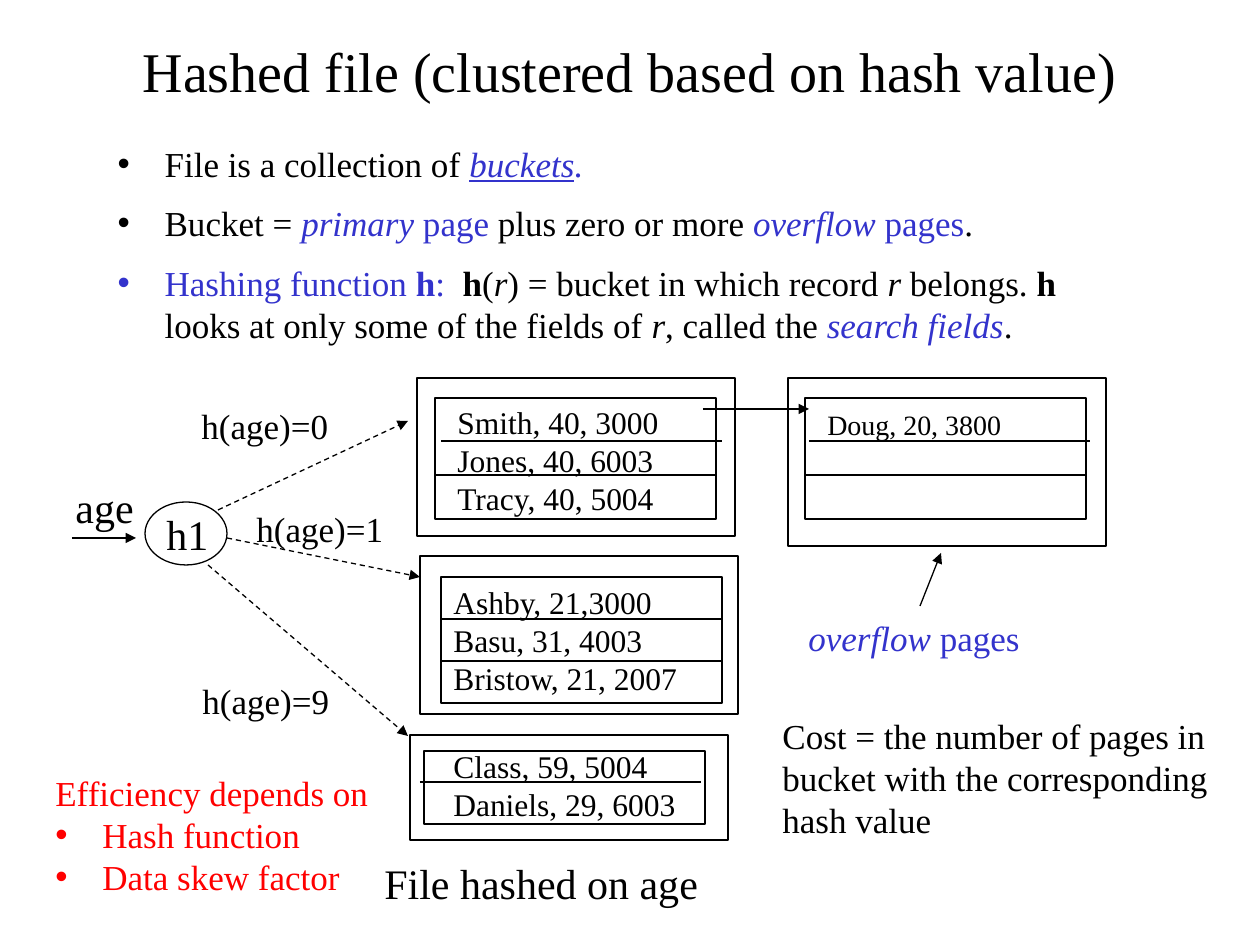
from dataclasses import dataclass

from lxml import etree
from pptx import Presentation
from pptx.dml.color import RGBColor
from pptx.enum.dml import MSO_LINE
from pptx.enum.shapes import MSO_CONNECTOR, MSO_SHAPE
from pptx.enum.text import MSO_ANCHOR, MSO_AUTO_SIZE, PP_ALIGN
from pptx.oxml.ns import qn
from pptx.util import Inches, Pt

RECTANGLE, OVAL = MSO_SHAPE.RECTANGLE, MSO_SHAPE.OVAL
STRAIGHT, DASH = MSO_CONNECTOR.STRAIGHT, MSO_LINE.DASH
LEFT, TOP, NO_FIT = PP_ALIGN.LEFT, MSO_ANCHOR.TOP, MSO_AUTO_SIZE.NONE


@dataclass(frozen=True)
class Theme:
    font: str = "Times New Roman"
    ink: str = "000000"
    accent: str = "3333CC"
    warning: str = "FF0000"
    title: int = 32
    heading: int = 24
    body: int = 20
    record: int = 18
    small: int = 16
    line: float = 0.75


THEME = Theme()
PX = Inches(1) / 126
HANGING = 47
ROW_WIDTH = 281

# Run styles: a accent, w warning, b bold, i italic, u underline
TITLE = ((130, 30, 1037, 81), [[("Hashed file (clustered based on hash value)", "")]])
BODY = ((42, 136, 1102, 224), [
    [("File is a collection of ", ""), ("buckets", "aiu"), (".", "ai")],
    [("Bucket = ", ""), ("primary", "ai"), (" page", "a"), (" plus zero or more ", ""),
     ("overflow", "ai"), (" pages", "a"), (".", "")],
    [("Hashing function", "a"), (" h", "ab"), (":  ", "a"), ("h", "b"), ("(", ""), ("r", "i"),
     (") = bucket in which record ", ""), ("r", "i"), (" belongs. ", ""), ("h", "b"),
     (" looks at only some of the fields of ", ""), ("r", "i"), (", called the ", ""),
     ("search fields", "ai"), (".", "")],
])
PAGES = [
    dict(outer=(417, 378, 318, 158), inner=(435, 398, ROW_WIDTH, 121),
         dividers=[(441, 441), (435, 475)], text=(445, 397, 228, 127), size=THEME.record,
         records=["Smith, 40, 3000", "Jones, 40, 6003", "Tracy, 40, 5004"]),
    dict(outer=(420, 556, 318, 158), inner=(441, 577, ROW_WIDTH, 126),
         dividers=[(441, 619), (441, 661)], text=(441, 577, 251, 127), size=THEME.record,
         records=["Ashby, 21,3000", "Basu, 31, 4003", "Bristow, 21, 2007"]),
    dict(outer=(410, 735, 318, 105), inner=(424, 751, ROW_WIDTH, 73),
         dividers=[(420, 782)], text=(441, 741, 249, 89), size=THEME.record,
         records=["Class, 59, 5004", "Daniels, 29, 6003"]),
    dict(outer=(788, 378, 318, 168), inner=(805, 398, ROW_WIDTH, 121),
         dividers=[(809, 441), (805, 475)], text=(815, 401, 202, 47), size=THEME.small,
         records=["Doug, 20, 3800"]),
]
HASH_NODE = (145, 502, 82, 63)
LABELS = [
    ((154, 502, 68, 63), THEME.heading, [("h1", "")]),
    ((63, 475, 84, 63), THEME.heading, [("age", "")]),
    ((189, 398, 154, 55), THEME.body, [("h(age)=0", "")]),
    ((244, 501, 154, 55), THEME.body, [("h(age)=1", "")]),
    ((190, 673, 154, 55), THEME.body, [("h(age)=9", "")]),
    ((372, 851, 341, 63), THEME.heading, [("File hashed on age", "")]),
    ((796, 610, 238, 55), THEME.body, [("overflow", "ai"), (" pages", "a")]),
]
HASH_ARROWS = [((218, 510), (408, 421)), ((227, 538), (420, 577)), ((208, 565), (408, 736))]
PLAIN_ARROWS = [((72, 538), (136, 538)), ((703, 409), (809, 409)), ((920, 606), (941, 553))]
EFFICIENCY_FRAME = (43, 765, 340, 140)
EFFICIENCY = ["Efficiency depends on", "Hash function", "Data skew factor"]
COST_FRAME = (770, 708, 470, 140)
COST = "Cost = the number of pages in bucket with the corresponding hash value"


def emu(pixels):
    return round(pixels * PX)


def place(shape, frame):
    shape.left, shape.top, shape.width, shape.height = map(emu, frame)


def add_bullet(paragraph, margin):
    properties = paragraph._p.get_or_add_pPr()
    properties.set("marL", str(emu(margin)))
    properties.set("indent", str(-emu(HANGING)))
    etree.SubElement(properties, qn("a:buFont"), typeface="Arial")
    etree.SubElement(properties, qn("a:buChar"), char="•")


def write(shape, paragraphs, size, wrap=False, margins=(), gap=0):
    frame = shape.text_frame
    frame.word_wrap, frame.auto_size, frame.vertical_anchor = wrap, NO_FIT, TOP
    for index, runs in enumerate(paragraphs):
        paragraph = frame.paragraphs[0] if index == 0 else frame.add_paragraph()
        if margins and margins[index]:
            add_bullet(paragraph, margins[index])
        paragraph.alignment = LEFT
        paragraph.space_before = Pt(gap if index else 0)
        for text, style in runs:
            run = paragraph.add_run()
            run.text = text
            font = run.font
            font.name, font.size = THEME.font, Pt(size)
            font.bold, font.italic, font.underline = ("b" in style, "i" in style, "u" in style)
            color = THEME.accent if "a" in style else THEME.warning if "w" in style else THEME.ink
            font.color.rgb = RGBColor.from_string(color)


def add_text(slide, frame, paragraphs, size, **options):
    shape = slide.shapes.add_textbox(*map(emu, frame))
    write(shape, paragraphs, size, **options)


def style_line(shape):
    shape.line.color.rgb = RGBColor.from_string(THEME.ink)
    shape.line.width = Pt(THEME.line)


def add_outline(slide, kind, frame):
    shape = slide.shapes.add_shape(kind, *map(emu, frame))
    shape.shadow.inherit = False
    shape.fill.background()
    style_line(shape)


def add_line(slide, start, end, arrow=False, dashed=False):
    connector = slide.shapes.add_connector(STRAIGHT, *map(emu, (*start, *end)))
    style_line(connector)
    if dashed:
        connector.line.dash_style = DASH
    if arrow:
        etree.SubElement(connector.line._get_or_add_ln(), qn("a:tailEnd"), type="triangle")
    etree.SubElement(connector._element.spPr, qn("a:effectLst"))


def add_page(slide, page):
    add_outline(slide, RECTANGLE, page["outer"])
    add_outline(slide, RECTANGLE, page["inner"])
    for left, top in page["dividers"]:
        add_line(slide, (left, top), (left + ROW_WIDTH, top))
    add_text(slide, page["text"], [[(record, "")] for record in page["records"]], page["size"])


def main():
    presentation = Presentation()
    presentation.slide_width, presentation.slide_height = Inches(10), Inches(7.5)
    slide = presentation.slides.add_slide(presentation.slide_layouts[1])
    title, body = slide.placeholders
    place(title, TITLE[0])
    write(title, TITLE[1], THEME.title)
    place(body, BODY[0])
    write(body, BODY[1], THEME.body, wrap=True, margins=[110] * len(BODY[1]), gap=10)

    for page in PAGES:
        add_page(slide, page)
    add_outline(slide, OVAL, HASH_NODE)
    for start, end in HASH_ARROWS:
        add_line(slide, start, end, arrow=True, dashed=True)
    for start, end in PLAIN_ARROWS:
        add_line(slide, start, end, arrow=True)
    for frame, size, runs in LABELS:
        add_text(slide, frame, [runs], size)
    add_text(slide, EFFICIENCY_FRAME, [[(text, "w")] for text in EFFICIENCY], THEME.body,
             margins=(0, HANGING, HANGING))
    add_text(slide, COST_FRAME, [[(COST, "")]], THEME.body, wrap=True)
    presentation.save("out.pptx")


if __name__ == "__main__":
    main()
